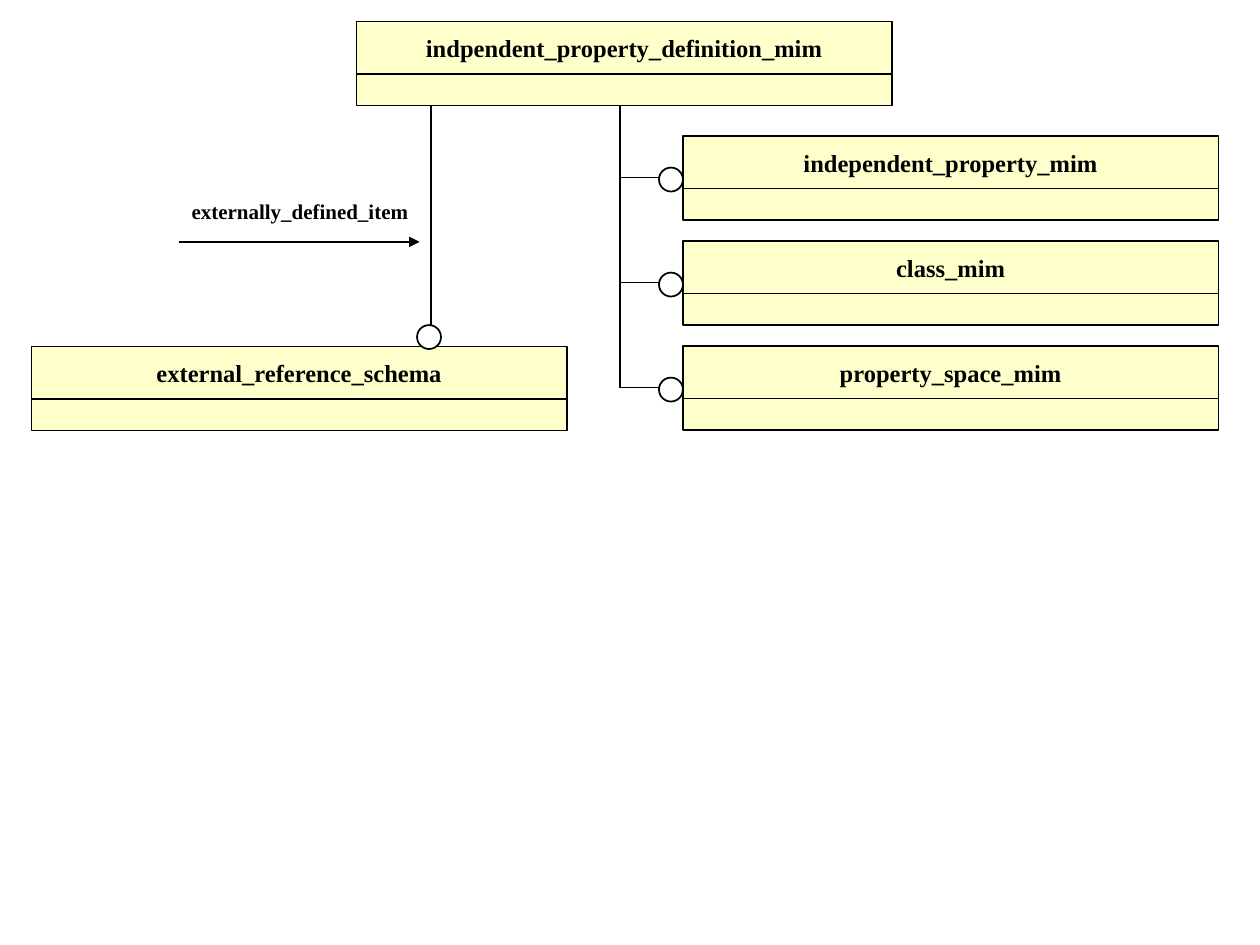
from dataclasses import dataclass

from lxml.etree import SubElement
from pptx import Presentation
from pptx.dml.color import RGBColor as Color
from pptx.enum.shapes import MSO_CONNECTOR as Link, MSO_SHAPE as Kind
from pptx.enum.text import MSO_ANCHOR as Anchor, MSO_AUTO_SIZE as Fit, PP_ALIGN as Align
from pptx.oxml.ns import qn
from pptx.util import Inches, Pt

COLORS = {"box": "FFFFCC", "ink": "000000", "ring": "FFFFFF"}
FONT = "Times New Roman"
WIDE, HEAD, FOOT = 4.25, 5 / 12, 0.25   # schema box: width, name part, lower part
RING = 0.19
STEP = 5 / 6                            # pitch of the right-hand boxes
RIGHT, FIRST = 5.42, 1.08               # left and top of the first of them
TRUNK = 4.92
BASE = 0.83                             # lower edge of the root box


@dataclass
class Schema:
    name: str
    left: float
    top: float


@dataclass
class Line:
    x1: float
    y1: float
    x2: float
    y2: float
    width: float = 0.75
    arrow: bool = False


def add_part(shapes, kind, left: float, top: float, width: float, height: float,
             fill: str, line: float):
    part = shapes.add_shape(kind, Inches(left), Inches(top), Inches(width), Inches(height))
    part.shadow.inherit = False
    part.fill.solid()
    part.fill.fore_color.rgb = Color.from_string(COLORS[fill])
    part.line.color.rgb = Color.from_string(COLORS["ink"])
    part.line.width = Pt(line)
    return part


def set_text(frame, text: str, size: int, align) -> None:
    frame.text = text
    para = frame.paragraphs[0]
    para.alignment = align
    font = para.runs[0].font
    font.name, font.size, font.bold = FONT, Pt(size), True
    font.color.rgb = Color.from_string(COLORS["ink"])


def draw_box(shapes, box: Schema) -> None:
    group = shapes.add_group_shape().shapes
    head = add_part(group, Kind.RECTANGLE, box.left, box.top, WIDE, HEAD, "box", 0.75)
    head.text_frame.word_wrap = False
    head.text_frame.vertical_anchor = Anchor.MIDDLE
    set_text(head.text_frame, box.name, 14, Align.CENTER)
    add_part(group, Kind.RECTANGLE, box.left, box.top + HEAD, WIDE, FOOT, "box", 0.75)


def draw_line(shapes, line: Line) -> None:
    link = shapes.add_connector(Link.STRAIGHT, Inches(line.x1), Inches(line.y1),
                                Inches(line.x2), Inches(line.y2))
    link.line.color.rgb = Color.from_string(COLORS["ink"])
    link.line.width = Pt(line.width)
    if line.arrow:
        SubElement(link.line._get_or_add_ln(), qn("a:tailEnd"), type="triangle")
    SubElement(link._element.spPr, qn("a:effectLst"))


def draw_ring(shapes, left: float, top: float) -> None:
    add_part(shapes, Kind.OVAL, left, top, RING, RING, "ring", 1)


def main() -> None:
    deck = Presentation()
    deck.slide_width, deck.slide_height = Inches(10), Inches(7.5)
    shapes = deck.slides.add_slide(deck.slide_layouts[6]).shapes

    # Schema boxes
    names = ["independent_property_mim", "class_mim", "property_space_mim"]
    used = [Schema(name, RIGHT, FIRST + i * STEP) for i, name in enumerate(names)]
    root = Schema("indpendent_property_definition_mim", 2.83, 0.17)
    outer = Schema("external_reference_schema", 0.25, 2.75)
    for box in [root, *used, outer]:
        draw_box(shapes, box)

    # Trunk with a branch and a ring for each used schema
    draw_line(shapes, Line(TRUNK, used[-1].top + 0.33, TRUNK, BASE))
    for box in used:
        mid = box.top + 0.33
        draw_line(shapes, Line(TRUNK, mid, 5.25, mid))
        draw_ring(shapes, RIGHT - RING, box.top + 0.25)

    # Reference to the external schema
    draw_line(shapes, Line(3.42, 2.58, 3.42, BASE, 1))
    draw_ring(shapes, 3.31, 2.58)

    # Label and arrow for the referenced item
    label = shapes.add_textbox(Inches(0.92), Inches(1.53), Inches(2.42), Inches(0.3))
    label.text_frame.word_wrap = True
    label.text_frame.auto_size = Fit.SHAPE_TO_FIT_TEXT
    set_text(label.text_frame, "externally_defined_item", 12, Align.RIGHT)
    draw_line(shapes, Line(1.42, 1.92, 3.33, 1.92, 1, arrow=True))

    deck.save("out.pptx")


if __name__ == "__main__":
    main()
